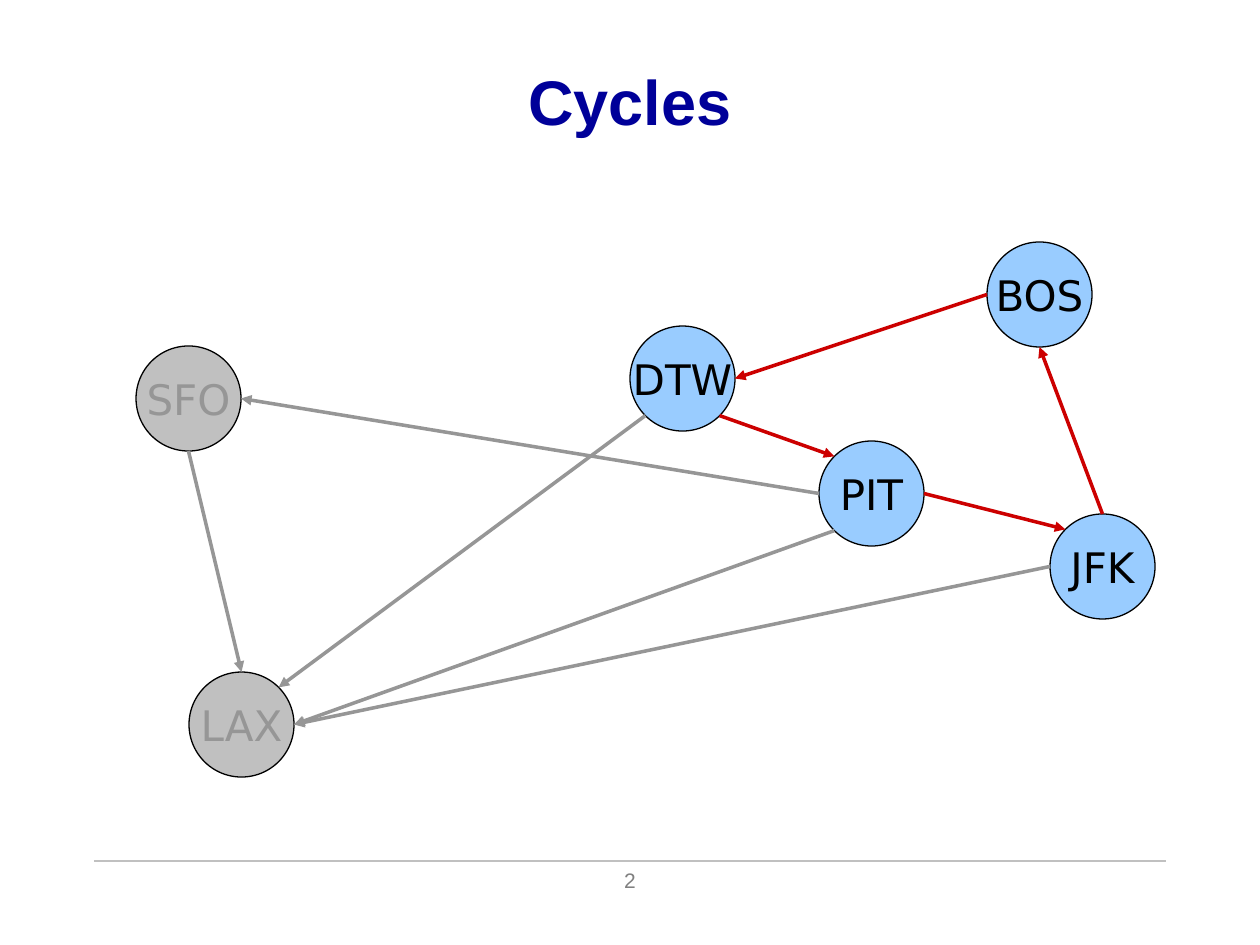
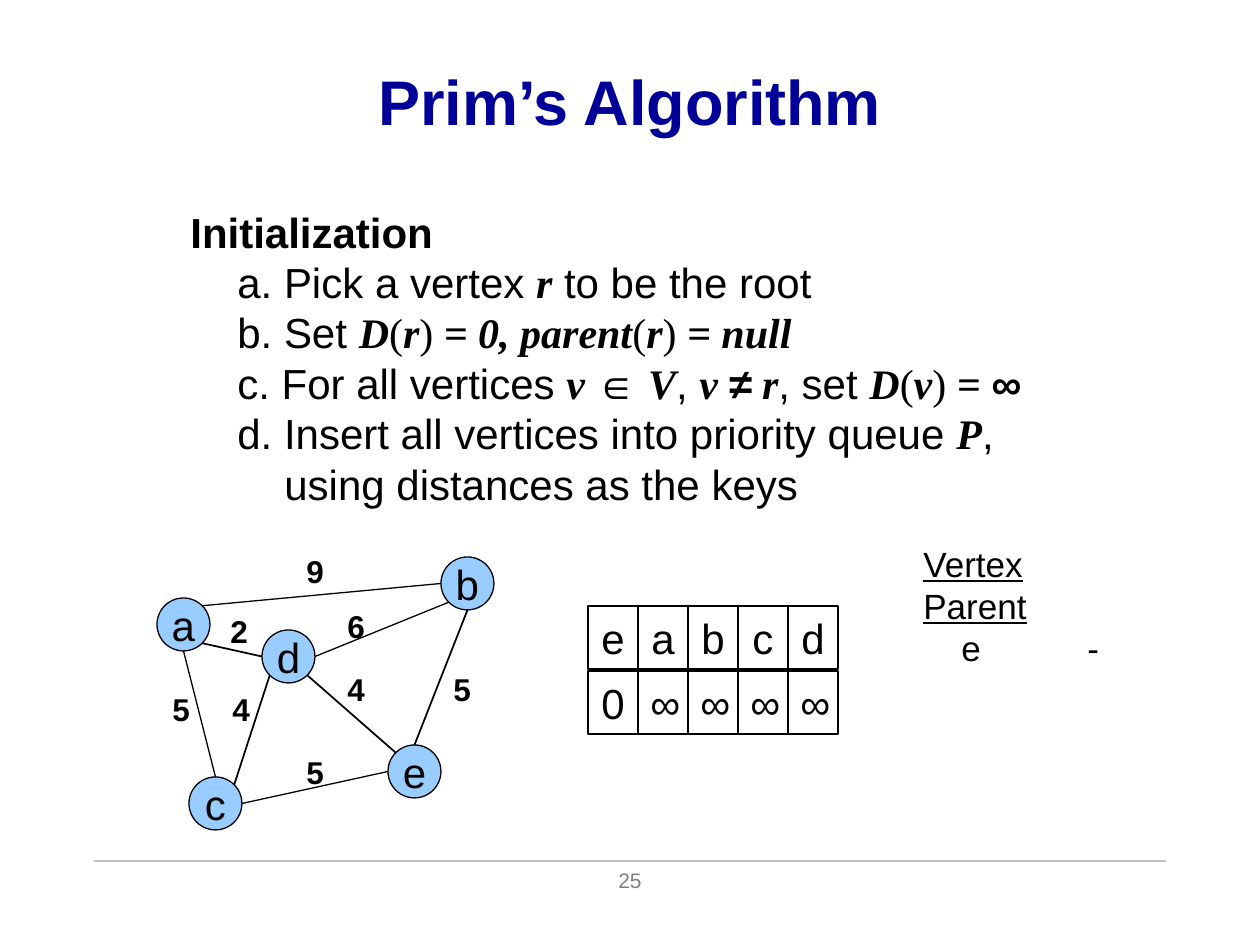
"""Builds two slides on graphs: a cycle in a flight network and the start of Prim's algorithm."""
from math import cos, radians, sin
from typing import Any, NamedTuple, Optional, Sequence

from lxml import etree
from pptx import Presentation
from pptx import util as u
from pptx.dml.color import RGBColor
from pptx.enum import shapes, text
from pptx.oxml import ns

EMU_PER_PX = 914400 / 126
LINE_HEIGHT = 1.2
SANS, SERIF, NODE_FONT = "Arial", "Times New Roman", "DejaVu Sans"

BLACK = RGBColor(0x00, 0x00, 0x00)
NAVY = RGBColor(0x00, 0x00, 0x99)
SKY = RGBColor(0x99, 0xCC, 0xFF)
RED = RGBColor(0xCC, 0x00, 0x00)
SILVER = RGBColor(0xC0, 0xC0, 0xC0)
DIM = RGBColor(0x96, 0x96, 0x96)
GRAY = RGBColor(0x80, 0x80, 0x80)

BOLD = {"bold": True}
UNDERLINE = {"underline": True}
ROMAN = {"name": SERIF}
MATH = {"name": SERIF, "bold": True, "italic": True}
SYMBOL = {"bold": True, "italic": True}

CENTER = text.PP_ALIGN.CENTER
MIDDLE = text.MSO_ANCHOR.MIDDLE
SITES = ("right", "bottom right", "bottom", "bottom left", "left", "top left", "top", "top right")


class Span(NamedTuple):
    """A run of text with the font values that differ from its box."""
    words: str
    values: dict[str, Any] = {}


class Row(NamedTuple):
    """A paragraph of spans with tab stops in px."""
    spans: Sequence[Span]
    tabs: Sequence[int] = ()


class Style(NamedTuple):
    """The look shared by all text of a box."""
    size: int
    color: RGBColor = BLACK
    font: str = SANS
    bold: bool = False
    align: Optional[text.PP_ALIGN] = None
    anchor: text.MSO_ANCHOR = text.MSO_ANCHOR.TOP
    wrap: bool = True


class Node(NamedTuple):
    """A round vertex of a graph."""
    name: str
    left: int
    top: int
    size: int
    style: Style
    fill: RGBColor = SKY


class Edge(NamedTuple):
    """A line between sites of two nodes."""
    start: str
    start_site: str
    end: str
    end_site: str
    color: RGBColor = BLACK
    width: float = 0.75
    arrow: bool = False


class Label(NamedTuple):
    """A weight beside an edge."""
    words: str
    left: int
    top: int


TITLE = Style(36, NAVY, bold=True, align=CENTER, anchor=MIDDLE)
FOOTER = Style(12, GRAY, align=CENTER)
BODY = Style(24)
WEIGHT = Style(18, bold=True, wrap=False)
CELL = Style(24, align=CENTER)
PARENTS = Style(20, wrap=False)
VERTEX = Style(24, align=CENTER, anchor=MIDDLE, wrap=False)
AIRPORT = VERTEX._replace(font=NODE_FONT)
FADED = AIRPORT._replace(color=DIM)

AIRPORTS = (
    Node("PIT", 819, 441, 105, AIRPORT),
    Node("BOS", 987, 242, 105, AIRPORT),
    Node("JFK", 1050, 514, 105, AIRPORT),
    Node("DTW", 630, 326, 105, AIRPORT),
    Node("LAX", 189, 672, 105, FADED, SILVER),
    Node("SFO", 136, 346, 105, FADED, SILVER),
)
FLIGHTS = tuple(Edge(*ends, width=2, arrow=True) for ends in (
    ("DTW", "bottom right", "PIT", "top left", RED),
    ("BOS", "left", "DTW", "right", RED),
    ("PIT", "left", "SFO", "right", DIM),
    ("SFO", "bottom", "LAX", "top", DIM),
    ("JFK", "left", "LAX", "right", DIM),
    ("JFK", "top", "BOS", "bottom", RED),
    ("PIT", "bottom left", "LAX", "right", DIM),
    ("DTW", "bottom left", "LAX", "top right", DIM),
    ("PIT", "right", "JFK", "top left", RED),
))

VERTICES = tuple(Node(name, left, top, 53, VERTEX) for name, left, top in (
    ("a", 157, 598), ("c", 189, 777), ("e", 388, 745), ("d", 262, 630), ("b", 441, 557),
))
EDGES = (
    Edge("a", "top right", "b", "left"),
    Edge("d", "right", "b", "bottom left"),
    Edge("a", "bottom", "c", "top"),
    Edge("a", "bottom right", "d", "left", width=1),
    Edge("c", "top right", "d", "bottom left", width=1),
    Edge("d", "bottom right", "e", "top left", width=1),
    Edge("b", "bottom", "e", "top", width=1),
    Edge("e", "left", "c", "right"),
)
WEIGHTS = (
    Label("2", 218, 606), Label("4", 220, 684), Label("5", 160, 684), Label("9", 294, 546),
    Label("6", 335, 601), Label("4", 335, 664), Label("5", 294, 747), Label("5", 441, 664),
)
QUEUE = ("eabcd", "0∞∞∞∞")

STEP_TABS = (47, 94)
STEPS = tuple(Row(spans, STEP_TABS) for spans in (
    [Span("Initialization", BOLD)],
    [Span("\ta. Pick a vertex "), Span("r", MATH), Span(" to be the root")],
    [Span("\tb. Set "), Span("D", MATH), Span("(", ROMAN), Span("r", MATH), Span(")", ROMAN),
     Span(" = 0, parent", MATH), Span("(", ROMAN), Span("r", MATH), Span(")", ROMAN),
     Span(" = null", MATH)],
    [Span("\tc. For all vertices "), Span("v ", MATH), Span("∈", BOLD), Span(" V", MATH),
     Span(", "), Span("v ", MATH), Span("≠", SYMBOL), Span(" r", MATH), Span(", set "),
     Span("D", MATH), Span("(", ROMAN), Span("v", MATH), Span(")", ROMAN), Span(" = ", MATH),
     Span("∞", SYMBOL)],
    [Span("\td. Insert all vertices into priority queue "), Span("P", MATH), Span(",")],
    [Span("\t\tusing distances as the keys")],
))
PARENT_ROWS = (
    Row([Span("Vertex", UNDERLINE), Span("\t"), Span("Parent", UNDERLINE)], (126,)),
    Row([Span("\te\t-")], (38, 164)),
)


def px(length: float) -> u.Emu:
    """Turn px into EMU."""
    return u.Emu(round(length * EMU_PER_PX))


def one_row(words: str) -> list[Row]:
    """Wrap plain words as a single paragraph."""
    return [Row([Span(words)])]


def write(box: Any, rows: Sequence[Row], style: Style) -> None:
    """Fill a box with paragraphs in one style."""
    frame = box.text_frame
    frame.word_wrap = style.wrap
    frame.vertical_anchor = style.anchor
    for index, row in enumerate(rows):
        para = frame.add_paragraph() if index else frame.paragraphs[0]
        para.alignment = style.align
        para.line_spacing = u.Pt(style.size * LINE_HEIGHT)
        if row.tabs:
            stops = etree.SubElement(para._p.get_or_add_pPr(), ns.qn("a:tabLst"))
            for stop in row.tabs:
                etree.SubElement(stops, ns.qn("a:tab"), pos=str(px(stop)), algn="l")
        for part in row.spans:
            span = para.add_run()
            span.text = part.words
            values = {"name": style.font, "size": u.Pt(style.size), "bold": style.bold}
            for key, value in (values | part.values).items():
                setattr(span.font, key, value)
            span.font.color.rgb = style.color


def add_text(page: Any, left: int, top: int, width: int, height: int,
             rows: Sequence[Row], style: Style) -> None:
    """Add a text box."""
    box = page.shapes.add_textbox(px(left), px(top), px(width), px(height))
    write(box, rows, style)


def add_shape(page: Any, kind: shapes.MSO_SHAPE, left: int, top: int, width: int, height: int,
              words: str, style: Style, fill: Optional[RGBColor] = None) -> None:
    """Add a thinly outlined shape with words in it."""
    box = page.shapes.add_shape(kind, px(left), px(top), px(width), px(height))
    box.shadow.inherit = False
    box.line.color.rgb = BLACK
    box.line.width = u.Pt(0.75)
    if fill is None:
        box.fill.background()
    else:
        box.fill.solid()
        box.fill.fore_color.rgb = fill
    write(box, one_row(words), style)


def add_line(page: Any, start: tuple[float, float], end: tuple[float, float],
             color: RGBColor, width: float, arrow: bool = False) -> None:
    """Add a straight line, with an arrowhead at its end if asked."""
    line = page.shapes.add_connector(shapes.MSO_CONNECTOR.STRAIGHT, *map(px, start + end))
    line.line.color.rgb = color
    line.line.width = u.Pt(width)
    if arrow:
        etree.SubElement(line.line._get_or_add_ln(), ns.qn("a:tailEnd"), type="triangle")
    etree.SubElement(line._element.spPr, ns.qn("a:effectLst"))


def site(node: Node, side: str) -> tuple[float, float]:
    """Find a point on the rim of a node."""
    angle = radians(45 * SITES.index(side))
    radius = node.size / 2
    return node.left + radius * (1 + cos(angle)), node.top + radius * (1 + sin(angle))


def add_graph(page: Any, nodes: Sequence[Node], edges: Sequence[Edge]) -> None:
    """Draw the nodes and then the edges between them."""
    by_name = {node.name: node for node in nodes}
    for node in nodes:
        add_shape(page, shapes.MSO_SHAPE.OVAL, node.left, node.top, node.size, node.size,
                  node.name, node.style, node.fill)
    for edge in edges:
        add_line(page, site(by_name[edge.start], edge.start_site),
                 site(by_name[edge.end], edge.end_site), edge.color, edge.width, edge.arrow)


def add_page(deck: Any, title: str, number: int) -> Any:
    """Add a slide with title, footer rule and page number."""
    page = deck.slides.add_slide(deck.slide_layouts[6])
    add_line(page, (94, 861), (1166, 861), SILVER, 1.5)
    add_text(page, 430, 861, 400, 63, one_row(str(number)), FOOTER)
    add_text(page, 94, 21, 1072, 158, one_row(title), TITLE)
    return page


def build_cycles(deck: Any) -> None:
    """Build the slide with the flight network."""
    page = add_page(deck, "Cycles", 2)
    add_graph(page, AIRPORTS, FLIGHTS)


def build_prim(deck: Any) -> None:
    """Build the slide with the first step of Prim's algorithm."""
    page = add_page(deck, "Prim’s Algorithm", 25)
    add_text(page, 178, 200, 903, 315, STEPS, BODY)
    add_graph(page, VERTICES, EDGES)
    for label in WEIGHTS:
        add_text(page, label.left, label.top, 43, 50, one_row(label.words), WEIGHT)
    for row, entries in enumerate(QUEUE):
        for column, entry in enumerate(entries):
            add_shape(page, shapes.MSO_SHAPE.RECTANGLE, 588 + 50 * column, 606 + 65 * row,
                      50, 63, entry, CELL)
    add_text(page, 911, 536, 254, 97, PARENT_ROWS, PARENTS)


def main() -> None:
    """Build and save the deck."""
    deck = Presentation()
    deck.slide_width, deck.slide_height = px(1260), px(945)
    build_cycles(deck)
    build_prim(deck)
    deck.save("out.pptx")


if __name__ == "__main__":
    main()
